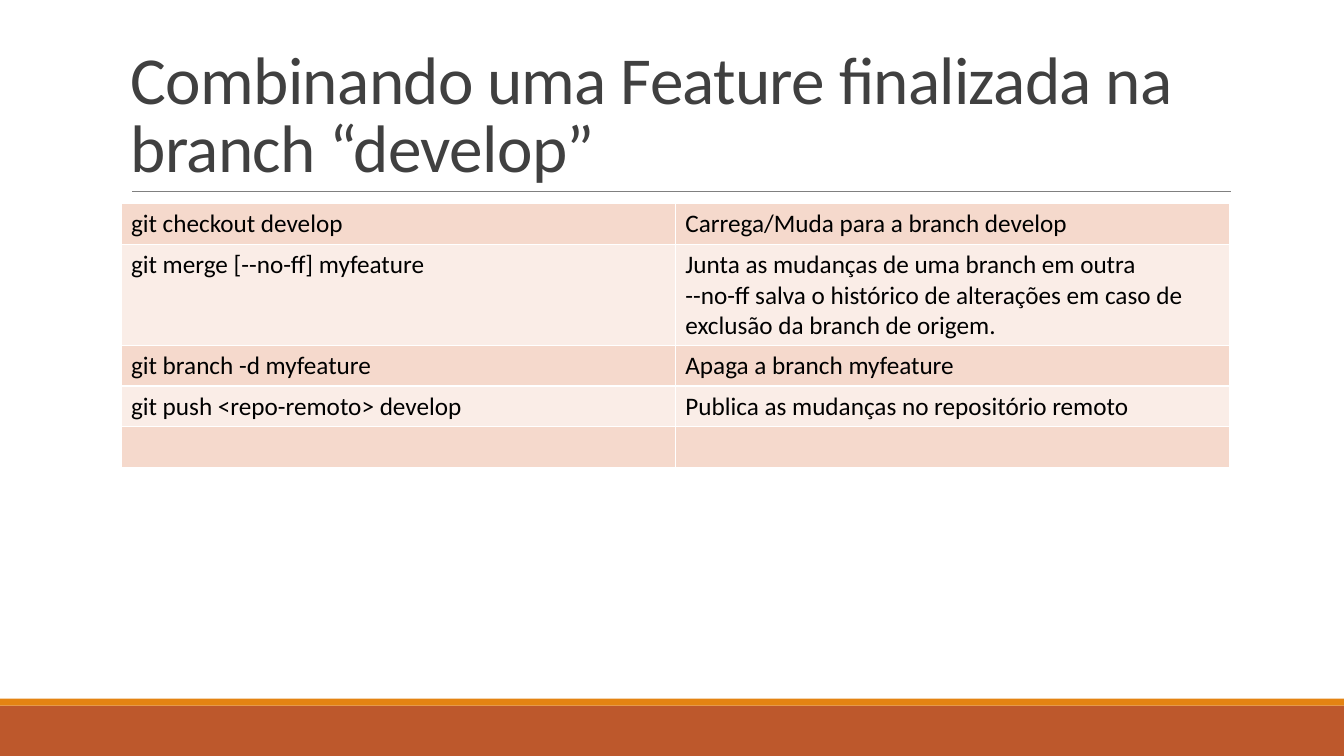
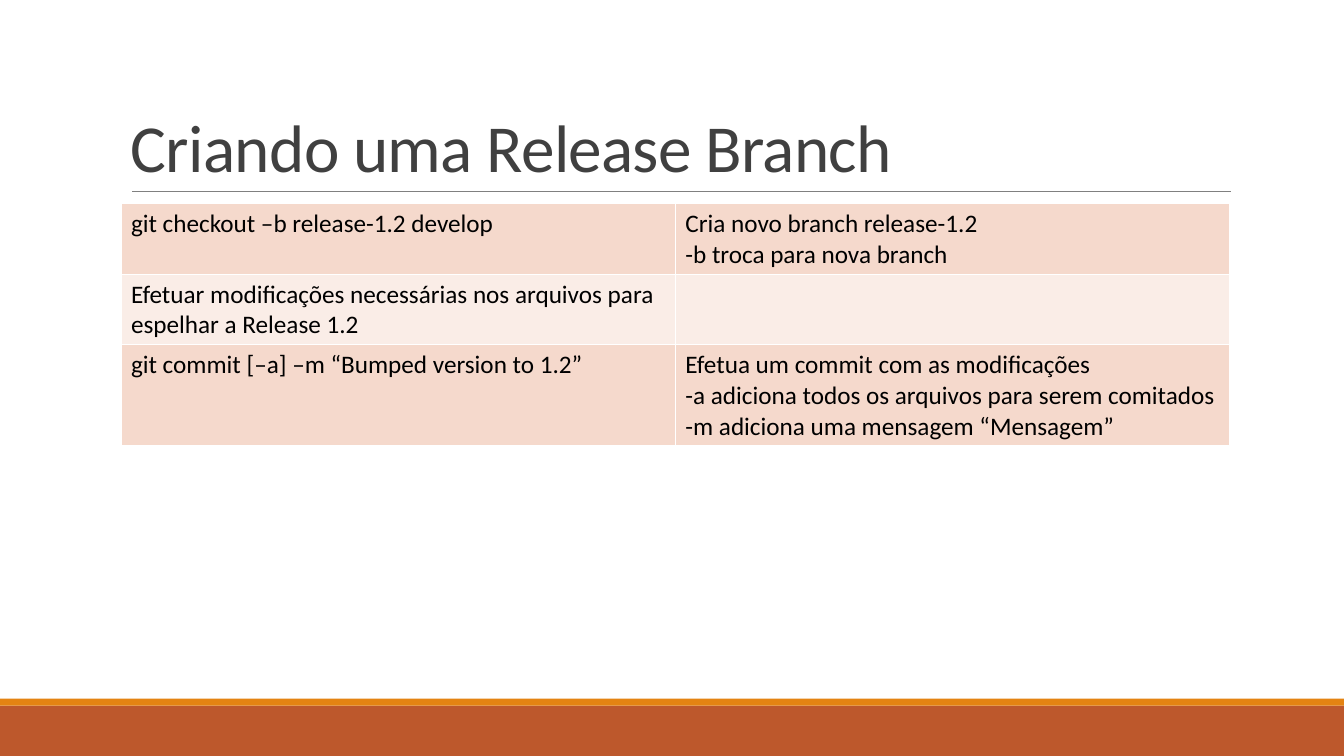
from lxml import etree
from pptx import Presentation
from pptx import util as u
from pptx.dml.color import RGBColor
from pptx.enum import shapes, text
from pptx.oxml.ns import qn

WIDE, HIGH = u.Inches(13.333), u.Inches(7.5)
FONT = "Calibri"
INK = {
    "base": "BD582C",
    "stripe": "E48312",
    "rule": "808080",
    "title": "404040",
    "body": "000000",
    "edge": "FFFFFF",
    "odd": "F5D9CC",
    "even": "FAEDE7",
}
LEFT, SPAN = 9, 82.5
RULE = 25.33
BANDS = [("base", 93.33, 6.67), ("stripe", 92.4, 0.93)]

PAGES = [
    ("Combinando uma Feature finalizada na branch “develop”", [
        (["git checkout develop"], ["Carrega/Muda para a branch develop"]),
        (["git merge [--no-ff] myfeature"], [
            "Junta as mudanças de uma branch em outra",
            "--no-ff salva o histórico de alterações em caso de exclusão da branch de origem.",
        ]),
        (["git branch -d myfeature"], ["Apaga a branch myfeature"]),
        (["git push <repo-remoto> develop"], ["Publica as mudanças no repositório remoto"]),
        ([], []),
    ]),
    ("Criando uma Release Branch", [
        (["git checkout –b release-1.2 develop"], [
            "Cria novo branch release-1.2",
            "-b troca para nova branch",
        ]),
        (["Efetuar modificações necessárias nos arquivos para espelhar a Release 1.2"], []),
        (["git commit [–a] –m “Bumped version to 1.2”"], [
            "Efetua um commit com as modificações",
            "-a adiciona todos os arquivos para serem comitados",
            "-m adiciona uma mensagem “Mensagem”",
        ]),
    ]),
]


def across(share):
    return u.Emu(round(WIDE * share / 100))


def down(share):
    return u.Emu(round(HIGH * share / 100))


def color(name):
    return RGBColor.from_string(INK[name])


def add_run(para, words, size, ink):
    run = para.add_run()
    run.text = words
    run.font.name = FONT
    run.font.size = u.Pt(size)
    run.font.color.rgb = color(ink)
    return run


def add_band(slide, ink, top, tall):
    band = slide.shapes.add_shape(
        shapes.MSO_SHAPE.RECTANGLE, 0, down(top), WIDE, down(tall))
    band.shadow.inherit = False
    band.fill.solid()
    band.fill.fore_color.rgb = color(ink)
    band.line.fill.background()


def add_rule(slide):
    rule = slide.shapes.add_connector(
        shapes.MSO_CONNECTOR.STRAIGHT,
        across(9.83), down(RULE), across(91.6), down(RULE))
    rule.line.color.rgb = color("rule")
    rule.line.width = u.Pt(0.5)
    etree.SubElement(rule._element.spPr, qn("a:effectLst"))


def add_title(slide, words):
    top = 4.13
    box = slide.shapes.add_textbox(
        across(LEFT), down(top), across(SPAN), down(RULE - top))
    frame = box.text_frame
    frame.word_wrap = True
    frame.vertical_anchor = text.MSO_ANCHOR.BOTTOM
    para = frame.paragraphs[0]
    para.line_spacing = 0.85
    run = add_run(para, words, 48, "title")
    run.font._element.set("spc", "-50")


def add_edges(cell):
    props = cell._tc.get_or_add_tcPr()
    for side in ("lnL", "lnR", "lnT", "lnB"):
        edge = etree.SubElement(props, qn("a:" + side), w=str(u.Pt(1)))
        fill = etree.SubElement(edge, qn("a:solidFill"))
        etree.SubElement(fill, qn("a:srgbClr"), val=INK["edge"])


def fill_cell(cell, lines, ink):
    add_edges(cell)
    cell.fill.solid()
    cell.fill.fore_color.rgb = color(ink)
    frame = cell.text_frame
    for spot, words in enumerate(lines):
        para = frame.add_paragraph() if spot else frame.paragraphs[0]
        add_run(para, words, 18, "body")


def add_grid(slide, rows):
    tall = down(5.4)
    grid = slide.shapes.add_table(
        len(rows), len(rows[0]), across(LEFT), down(26.93),
        across(SPAN), tall * len(rows)).table
    grid.first_row = False
    grid.horz_banding = False
    for r, row in enumerate(rows):
        for c, lines in enumerate(row):
            fill_cell(grid.cell(r, c), lines, "even" if r % 2 else "odd")


def add_page(deck, title, rows):
    slide = deck.slides.add_slide(deck.slide_layouts[6])
    for band in BANDS:
        add_band(slide, *band)
    add_rule(slide)
    add_title(slide, title)
    add_grid(slide, rows)


def main():
    deck = Presentation()
    deck.slide_width, deck.slide_height = WIDE, HIGH
    for title, rows in PAGES:
        add_page(deck, title, rows)
    deck.save("out.pptx")


if __name__ == "__main__":
    main()
